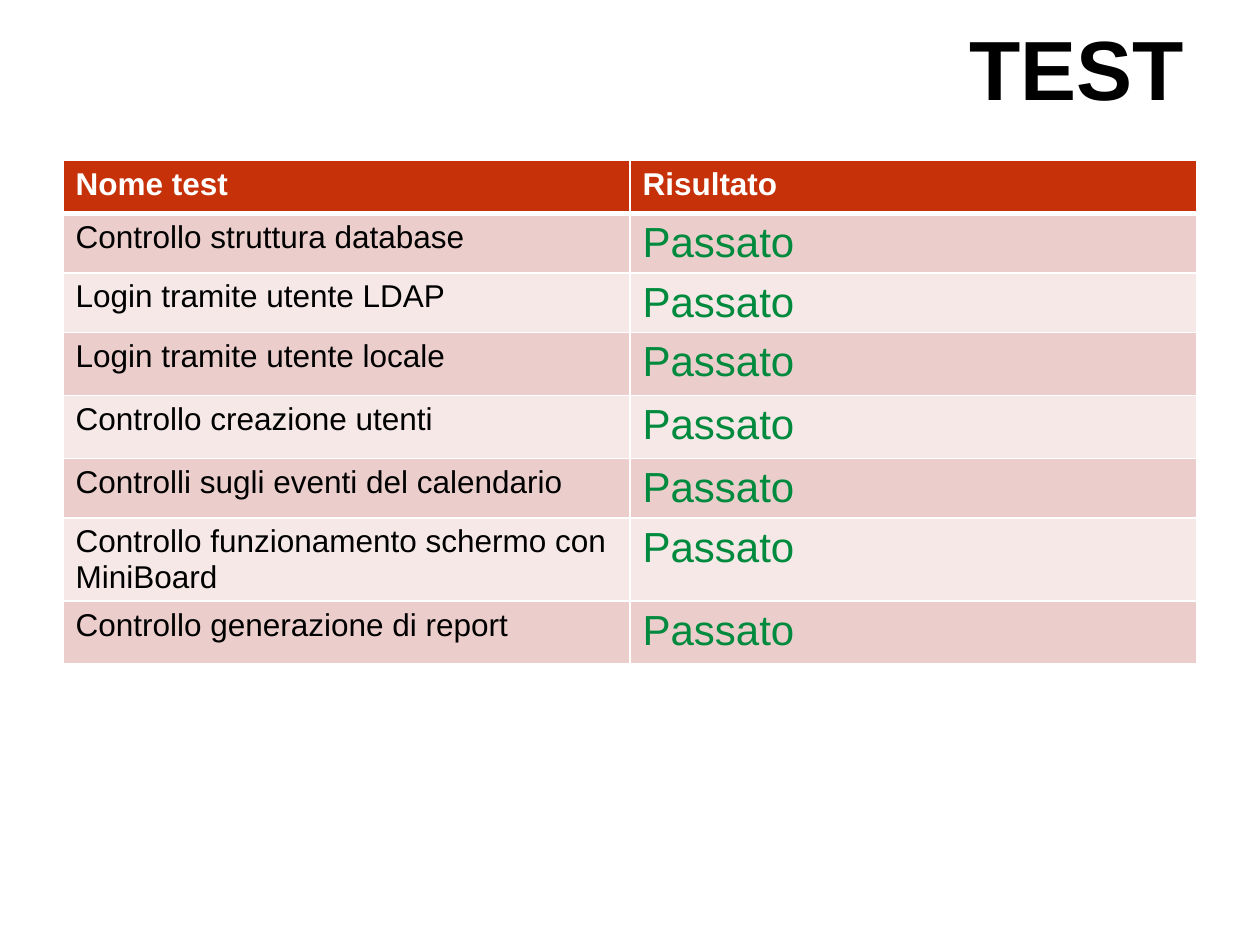
from lxml import etree
from pptx import Presentation
from pptx import util as u
from pptx.dml.color import RGBColor
from pptx.enum import text
from pptx.oxml import ns

SLIDE_W, SLIDE_H = u.Inches(10), u.Inches(7.5)
MARGIN = 0.05  # share of the slide's width
TITLE_TOP, TITLE_HEIGHT = 0.028, 0.085  # shares of the slide's height
TABLE_TOP = 0.17

BLACK = RGBColor(0x00, 0x00, 0x00)
WHITE = RGBColor(0xFF, 0xFF, 0xFF)
HEADER_RED = RGBColor(0xC7, 0x31, 0x09)
BANDS = RGBColor(0xEB, 0xCE, 0xCC), RGBColor(0xF5, 0xE8, 0xE7)
PASS_GREEN = RGBColor(0x00, 0x8A, 0x3D)

TITLE_FORMAT = {"name": "Arial", "size": u.Pt(48), "bold": True}
HEADER_FORMAT = {"name": "Arial", "size": u.Pt(18), "bold": True}
TEST_FORMAT = {"name": "Arial", "size": u.Pt(18), "bold": False}
RESULT_FORMAT = {"name": "Arial", "size": u.Pt(24), "bold": False}

HEADINGS = "Nome test", "Risultato"
PASSED = "Passato"
TESTS = (  # test name, row height in inches
    ("Controllo struttura database", 0.42),
    ("Login tramite utente LDAP", 0.42),
    ("Login tramite utente locale", 0.5),
    ("Controllo creazione utenti", 0.5),
    ("Controlli sugli eventi del calendario", 0.42),
    ("Controllo funzionamento schermo con MiniBoard", 0.5),
    ("Controllo generazione di report", 0.5),
)
HEADER_HEIGHT = 0.42


def write(paragraph, words, font_format, color):
    run = paragraph.add_run()
    run.text = words
    for attribute, value in font_format.items():
        setattr(run.font, attribute, value)
    run.font.color.rgb = color


def set_borders(cell, widths):
    """Draw white cell borders; widths maps a side (L, R, T, B) to points."""
    properties = cell._tc.get_or_add_tcPr()
    for side, width in widths.items():
        line = etree.SubElement(properties, ns.qn(f"a:ln{side}"), w=str(u.Pt(width)))
        fill = etree.SubElement(line, ns.qn("a:solidFill"))
        etree.SubElement(fill, ns.qn("a:srgbClr"), val=str(WHITE))


def fill_cell(cell, words, font_format, color, background, top=1, bottom=1):
    write(cell.text_frame.paragraphs[0], words, font_format, color)
    set_borders(cell, {"L": 1, "R": 1, "T": top, "B": bottom})
    cell.fill.solid()
    cell.fill.fore_color.rgb = background


def add_title(slide, words):
    title = slide.shapes.title
    place = {
        "left": int(SLIDE_W * MARGIN),
        "top": int(SLIDE_H * TITLE_TOP),
        "width": int(SLIDE_W * (1 - 2 * MARGIN)),
        "height": int(SLIDE_H * TITLE_HEIGHT),
    }
    for attribute, value in place.items():
        setattr(title, attribute, value)
    title.text_frame.vertical_anchor = text.MSO_ANCHOR.MIDDLE
    heading = title.text_frame.paragraphs[0]
    heading.alignment = text.PP_ALIGN.RIGHT
    write(heading, words, TITLE_FORMAT, BLACK)


def add_results(slide):
    heights = [HEADER_HEIGHT] + [height for _, height in TESTS]
    results = slide.shapes.add_table(
        len(heights), len(HEADINGS),
        int(SLIDE_W * MARGIN), int(SLIDE_H * TABLE_TOP),
        int(SLIDE_W * (1 - 2 * MARGIN)), u.Inches(sum(heights)),
    ).table
    for row, height in zip(results.rows, heights):
        row.height = u.Inches(height)
    for column, heading in enumerate(HEADINGS):
        fill_cell(results.cell(0, column), heading, HEADER_FORMAT, WHITE,
                  HEADER_RED, bottom=3)
    for index, (test, _) in enumerate(TESTS):
        band = BANDS[index % 2]
        top = 1 if index else 3
        row = index + 1
        fill_cell(results.cell(row, 0), test, TEST_FORMAT, BLACK, band, top)
        fill_cell(results.cell(row, 1), PASSED, RESULT_FORMAT, PASS_GREEN, band, top)


def main():
    deck = Presentation()
    deck.slide_width, deck.slide_height = SLIDE_W, SLIDE_H
    slide = deck.slides.add_slide(deck.slide_layouts.get_by_name("Title Only"))
    add_title(slide, "TEST")
    add_results(slide)
    deck.save("out.pptx")


if __name__ == "__main__":
    main()
